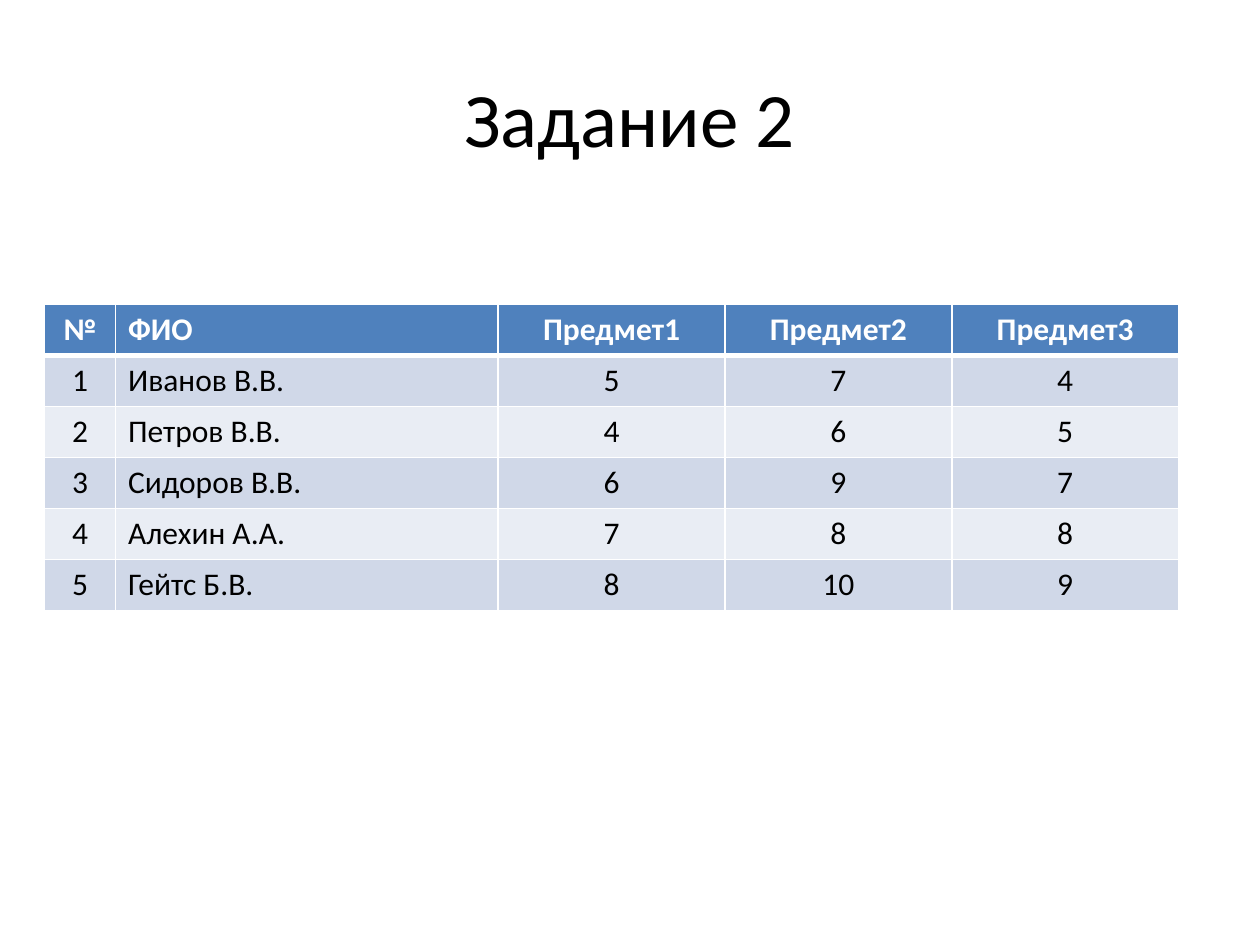
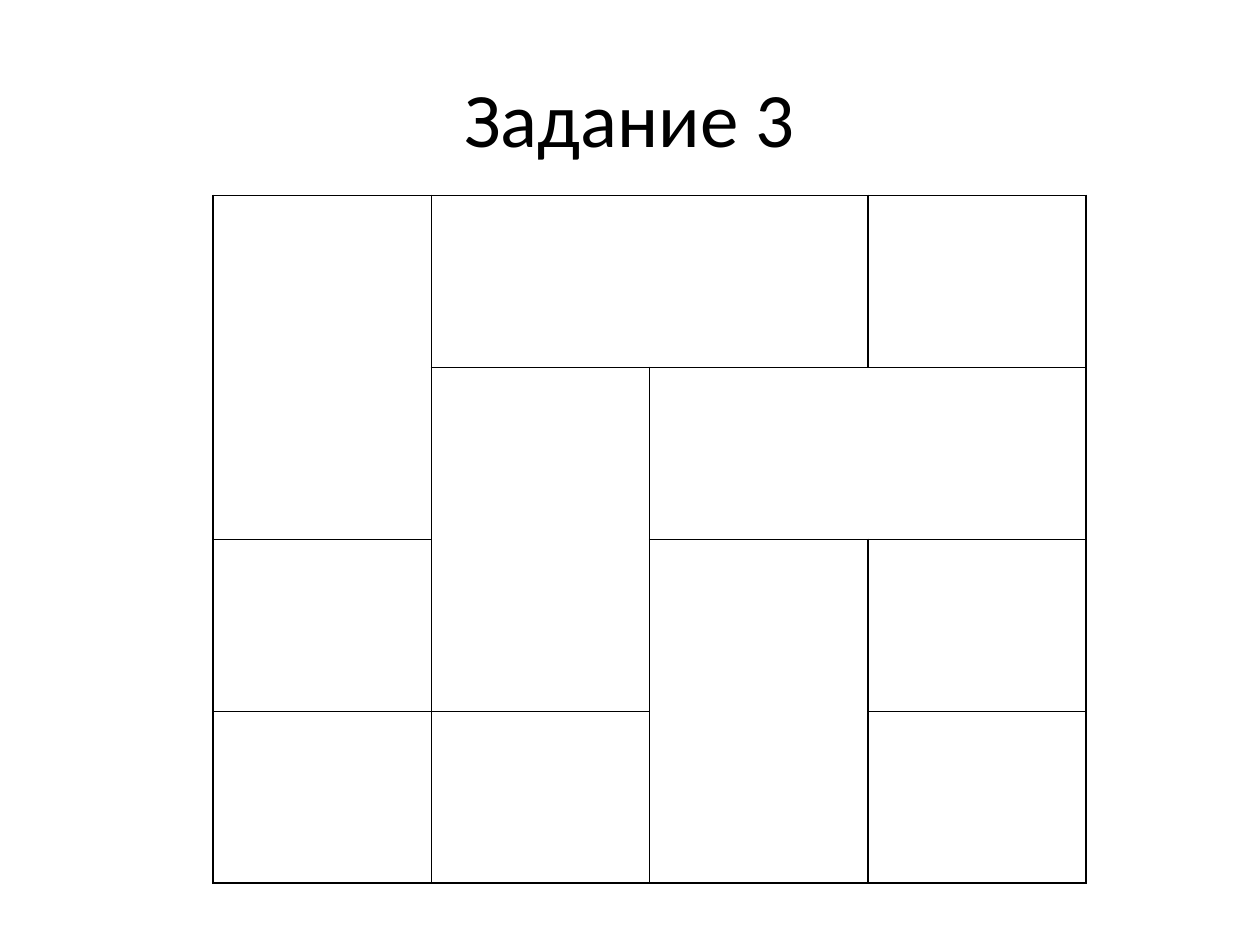
"""Builds two task slides: a table of marks and a grid of merged cells."""
from lxml import etree
from pptx import Presentation
from pptx.dml.color import RGBColor
from pptx.enum.text import MSO_ANCHOR, PP_ALIGN
from pptx.oxml.ns import qn
from pptx.util import Pt

LEFT, CENTER = PP_ALIGN.LEFT, PP_ALIGN.CENTER
MIDDLE = MSO_ANCHOR.MIDDLE
BLACK = RGBColor(0x00, 0x00, 0x00)
WHITE = RGBColor(0xFF, 0xFF, 0xFF)
BLUE = RGBColor(0x4F, 0x81, 0xBD)
BANDS = RGBColor(0xE9, 0xED, 0xF4), RGBColor(0xD0, 0xD8, 0xE8)
FONT = "Calibri"

MARKS = [
    ("№", "ФИО", "Предмет1", "Предмет2", "Предмет3"),
    ("1", "Иванов В.В.", "5", "7", "4"),
    ("2", "Петров В.В.", "4", "6", "5"),
    ("3", "Сидоров В.В.", "6", "9", "7"),
    ("4", "Алехин А.А.", "7", "8", "8"),
    ("5", "Гейтс Б.В.", "8", "10", "9"),
]
MERGES = [
    ((0, 0), (1, 0)),
    ((0, 1), (0, 2)),
    ((1, 1), (2, 1)),
    ((1, 2), (1, 3)),
    ((2, 2), (3, 2)),
]


def write(frame, text, align, size, color, bold=False):
    para = frame.paragraphs[0]
    para.alignment = align
    run = para.add_run()
    run.text = text
    run.font.color.rgb = color
    style = {"name": FONT, "size": Pt(size), "bold": bold}
    for key, value in style.items():
        setattr(run.font, key, value)


def add_grid(slide, left, top, widths, heights, color):
    shape = slide.shapes.add_table(
        len(heights), len(widths), Pt(left), Pt(top),
        Pt(sum(widths)), Pt(sum(heights)))
    table = shape.table
    table.first_row = table.horz_banding = False
    for col, width in zip(table.columns, widths):
        col.width = Pt(width)
    for row, height in zip(table.rows, heights):
        row.height = Pt(height)
    for cell in table.iter_cells():
        props = cell._tc.get_or_add_tcPr()
        for side in ("a:lnL", "a:lnR", "a:lnT", "a:lnB"):
            line = etree.SubElement(props, qn(side), w=str(Pt(1)))
            fill = etree.SubElement(line, qn("a:solidFill"))
            etree.SubElement(fill, qn("a:srgbClr"), val=str(color))
        cell.fill.background()
    return table


deck = Presentation()
deck.slide_width, deck.slide_height = Pt(720), Pt(540)
slides = []
for title in ("Задание 2", "Задание 3"):
    slide = deck.slides.add_slide(deck.slide_layouts[6])
    box = slide.shapes.add_textbox(Pt(36), Pt(21.6), Pt(648), Pt(90))
    frame = box.text_frame
    frame.word_wrap = True
    frame.vertical_anchor = MIDDLE
    write(frame, title, CENTER, 44, BLACK)
    slides.append(slide)

table = add_grid(slides[0], 25.5, 173.8, [40.5, 218.7] + [129.6] * 3,
                 [29.2] * len(MARKS), WHITE)
for r, row in enumerate(MARKS):
    head = r == 0
    for c, text in enumerate(row):
        cell = table.cell(r, c)
        cell.fill.solid()
        cell.fill.fore_color.rgb = BLUE if head else BANDS[r % 2]
        write(cell.text_frame, text, LEFT if c == 1 else CENTER, 18,
              WHITE if head else BLACK, head)
        edge = "a:lnB" if head else "a:lnT"
        if r < 2:
            cell._tc.tcPr.find(qn(edge)).set("w", str(Pt(3)))

table = add_grid(slides[1], 121.8, 111.6, [124.7] * 4, [98.3] * 4, BLACK)
for start, end in MERGES:
    table.cell(*start).merge(table.cell(*end))

deck.save("out.pptx")
